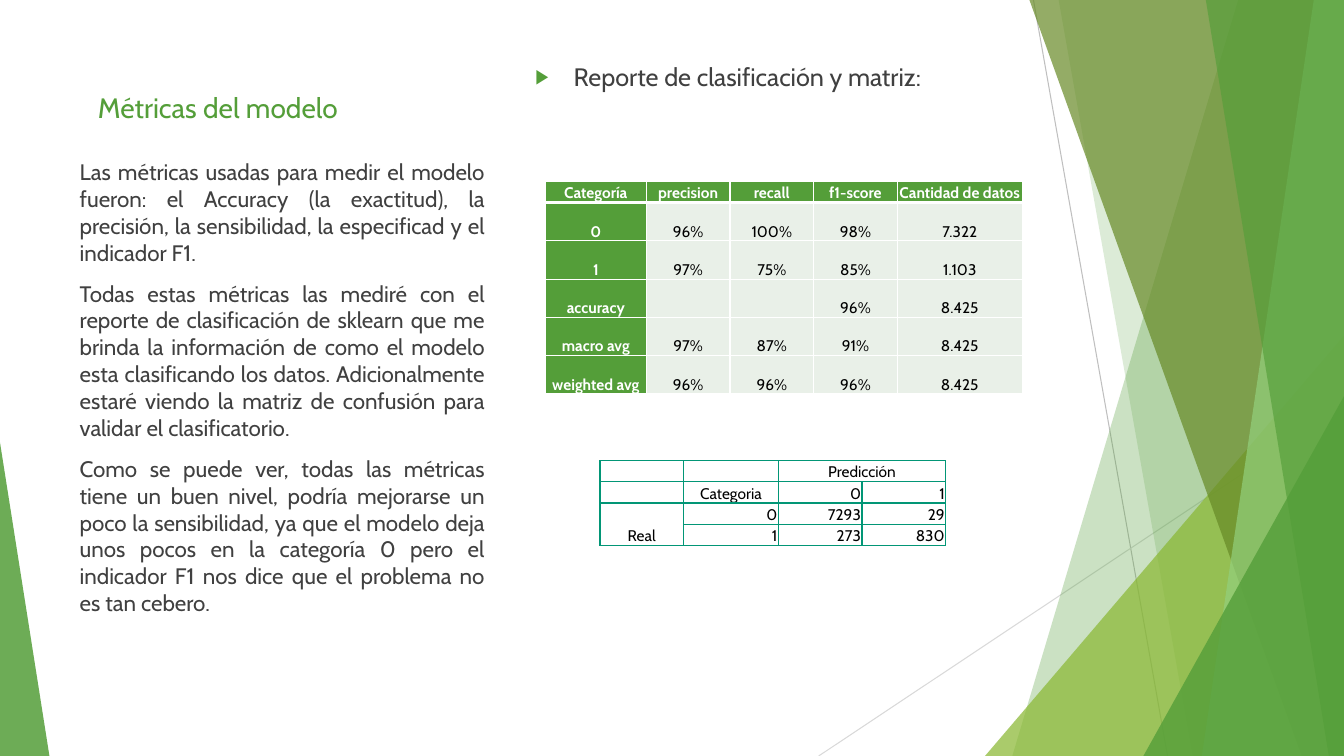
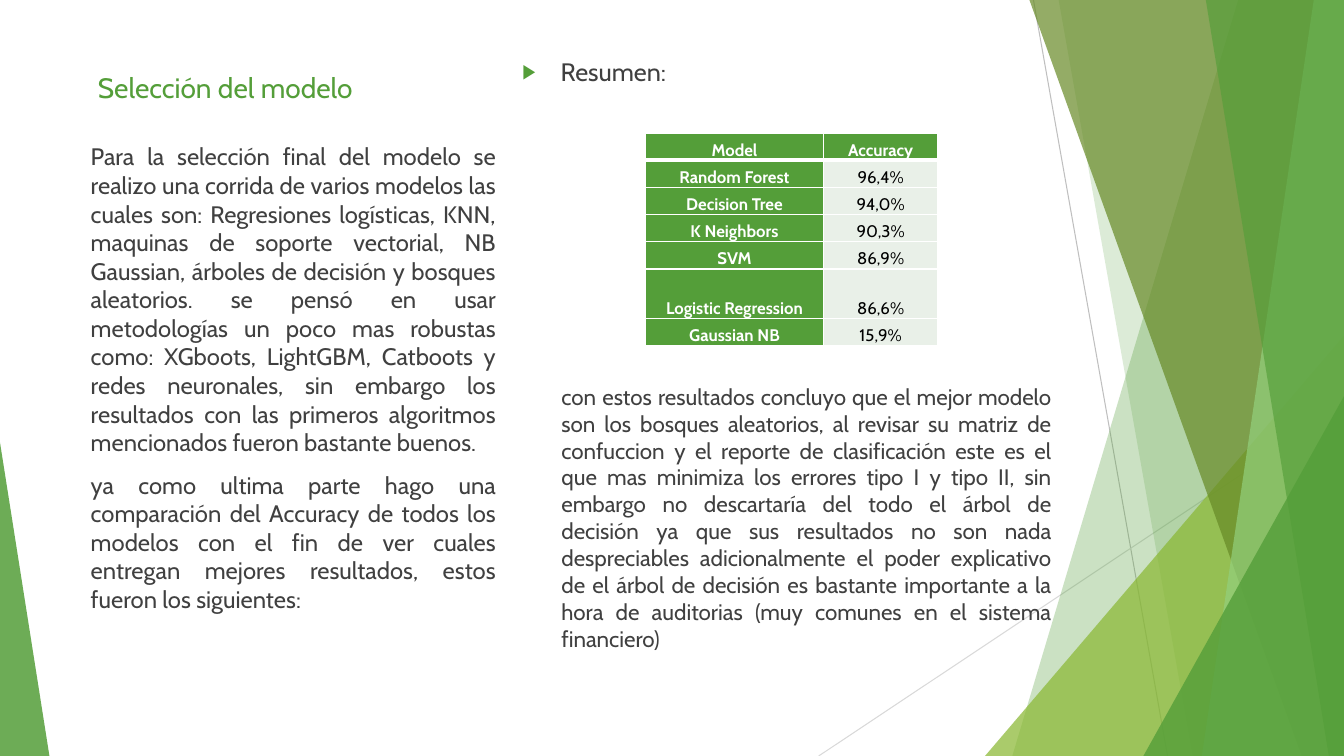
from dataclasses import dataclass

from lxml.etree import SubElement
from pptx import Presentation
from pptx.dml.color import RGBColor
from pptx.enum.shapes import MSO_CONNECTOR, MSO_SHAPE
from pptx.enum.text import MSO_ANCHOR, MSO_AUTO_SIZE, PP_ALIGN
from pptx.oxml.ns import qn
from pptx.util import Pt

PX = 9144  # 100 px to the inch
WIDTH, HEIGHT = 1333, 750


@dataclass(frozen=True)
class Theme:
    font: str = "Cabin"
    green: str = "549E39"
    lime: str = "8AB833"
    olive: str = "678A26"
    mint: str = "93D07D"
    teal: str = "029676"
    pale: str = "E9F0E8"
    ink: str = "404040"
    black: str = "000000"
    white: str = "FFFFFF"
    line_dark: str = "BFBFBF"
    line_light: str = "D9D9D9"
    title_size: int = 20
    lead_size: int = 18
    summary_size: int = 17
    text_size: int = 16
    model_size: int = 12
    metric_size: int = 11


theme = Theme()


def style_paragraph(paragraph, size, color, align=PP_ALIGN.LEFT, bold=False, before=0):
    paragraph.alignment = align
    paragraph.space_before = Pt(before)
    for run in paragraph.runs:
        run.font.name = theme.font
        run.font.size = Pt(size)
        run.font.bold = bold
        run.font.color.rgb = RGBColor.from_string(color)
    if not paragraph.runs:
        SubElement(paragraph._p, qn("a:endParaRPr"), sz=str(size * 100))


def add_grid(slide, left, top, widths, heights, rows, size, border, headed):
    frame = slide.shapes.add_table(len(rows), len(widths), left * PX, top * PX,
                                   sum(widths) * PX, sum(heights) * PX)
    table = frame.table
    table.first_row = table.horz_banding = False
    for column, width in zip(table.columns, widths):
        column.width = width * PX
    for row, height in zip(table.rows, heights):
        row.height = height * PX
    for r, texts in enumerate(rows):
        for c, text in enumerate(texts):
            cell = table.cell(r, c)
            cell.margin_left = cell.margin_right = cell.margin_top = PX
            cell.margin_bottom = 0
            cell.vertical_anchor = MSO_ANCHOR.BOTTOM
            label = headed and (r == 0 or c == 0)
            if headed:
                cell.fill.solid()
                cell.fill.fore_color.rgb = RGBColor.from_string(theme.green if label else theme.pale)
            else:
                cell.fill.background()
            cell.text_frame.text = text
            align = PP_ALIGN.RIGHT if text.isdigit() and not headed else PP_ALIGN.CENTER
            style_paragraph(cell.text_frame.paragraphs[0], size,
                            theme.white if label else theme.black, align, label)
            # Borders, heavier under the header row; they stand before the fill
            properties = cell._tc.get_or_add_tcPr()
            heavy = {(0, "lnB"), (1, "lnT")} if headed else set()
            for position, side in enumerate(("lnL", "lnR", "lnT", "lnB")):
                points = 3 if (r, side) in heavy else 1
                line = SubElement(properties, qn(f"a:{side}"), w=str(Pt(points)))
                SubElement(SubElement(line, qn("a:solidFill")), qn("a:srgbClr"), val=border)
                properties.insert(position, line)
    return table


# Presentation and the layout with a title, a lead and a text column
presentation = Presentation()
presentation.slide_width, presentation.slide_height = WIDTH * PX, HEIGHT * PX
layout = presentation.slide_layouts[7]
for footer in list(layout.placeholders)[3:]:
    footer.element.getparent().remove(footer.element)
metrics = presentation.slides.add_slide(layout)
selection = presentation.slides.add_slide(layout)

# Shared decoration: two fine lines, then translucent facets
decoration = []
for x1, y1, x2, y2, color in ((1025, 0, 1158, HEIGHT, theme.line_dark),
                              (WIDTH, 403, 812, HEIGHT, theme.line_light)):
    ray = metrics.shapes.add_connector(MSO_CONNECTOR.STRAIGHT, x1 * PX, y1 * PX, x2 * PX, y2 * PX)
    ray.line.color.rgb = RGBColor.from_string(color)
    ray.line.width = Pt(0.75)
    SubElement(ray.element.spPr, qn("a:effectLst"))
    decoration.append(ray)

# Bands run to the right edge and give their left x at top and bottom;
# triangles give left, top, width and apex, and stand on the bottom edge
facets = (
    ("band", (1228, 1004), theme.green, 30),
    ("band", (1050, 1183), theme.green, 20),
    ("triangle", (977, 333, 356, 1), theme.lime, 72),
    ("band", (1021, 1291), theme.olive, 70),
    ("band", (1303, 1192), theme.mint, 70),
    ("band", (1196, 1318), theme.green, 65),
    ("triangle", (1134, 393, 199, 1), theme.green, 80),
    ("triangle", (0, 439, 49, 0), theme.green, 85),
)
for kind, geometry, color, opacity in facets:
    if kind == "band":
        upper, lower = geometry
        outline = metrics.shapes.build_freeform(upper, 0, scale=PX)
        outline.add_line_segments([(WIDTH, 0), (WIDTH, HEIGHT), (lower, HEIGHT)], close=True)
        facet = outline.convert_to_shape()
    else:
        left, top, width, apex = geometry
        facet = metrics.shapes.add_shape(MSO_SHAPE.ISOSCELES_TRIANGLE, left * PX, top * PX,
                                         width * PX, (HEIGHT - top) * PX)
        facet.adjustments[0] = apex
    facet.shadow.inherit = False
    facet.line.fill.background()
    facet.fill.solid()
    facet.fill.fore_color.rgb = RGBColor.from_string(color)
    tint = facet.element.spPr.find(qn("a:solidFill")).find(qn("a:srgbClr"))
    SubElement(tint, qn("a:alpha"), val=str(opacity * 1000))
    decoration.append(facet)
for part in decoration:
    layout.shapes.element.append(part.element)

# Titles, leads and text columns
metrics_text = (
    "Las métricas usadas para medir el modelo fueron: el Accuracy (la exactitud), la precisión, "
    "la sensibilidad, la especificad y el indicador F1.",
    "Todas estas métricas las mediré con el reporte de clasificación de sklearn que me brinda la "
    "información de como el modelo esta clasificando los datos. Adicionalmente estaré viendo la "
    "matriz de confusión para validar el clasificatorio.",
    "Como se puede ver, todas las métricas tiene un buen nivel, podría mejorarse un poco la "
    "sensibilidad, ya que el modelo deja unos pocos en la categoría 0 pero el indicador F1 nos "
    "dice que el problema no es tan cebero.",
)
selection_text = (
    "Para la selección final del modelo se realizo una corrida de varios modelos las cuales son: "
    "Regresiones logísticas, KNN, maquinas de soporte vectorial, NB Gaussian, árboles de decisión "
    "y bosques aleatorios. se pensó en usar metodologías un poco mas robustas como: XGboots, "
    "LightGBM, Catboots y redes neuronales, sin embargo los resultados con las primeros algoritmos "
    "mencionados fueron bastante buenos.",
    "ya como ultima parte hago una comparación del Accuracy de todos los modelos con el fin de ver "
    "cuales entregan mejores resultados, estos fueron los siguientes:",
)
pages = (
    (metrics, "Métricas del modelo", (87, 56, 422, 72),
     "Reporte de clasificación y matriz:", (521, 56, 494, 604),
     metrics_text, (69, 152, 422, 509), theme.text_size),
    (selection, "Selección del modelo", (87, 58, 422, 50),
     "Resumen:", (508, 51, 494, 50),
     selection_text, (80, 136, 422, 498), theme.summary_size),
)
for slide, title, title_box, lead, lead_box, column, column_box, column_size in pages:
    heading, opening, body = slide.shapes.title, slide.placeholders[1], slide.placeholders[2]
    for holder, box, text in ((heading, title_box, title), (opening, lead_box, lead),
                              (body, column_box, "\n".join(column))):
        holder.left, holder.top, holder.width, holder.height = (length * PX for length in box)
        holder.text_frame.text = text
        holder.text_frame.auto_size = MSO_AUTO_SIZE.NONE
        holder.text_frame.vertical_anchor = MSO_ANCHOR.TOP
    heading.text_frame.vertical_anchor = MSO_ANCHOR.BOTTOM
    style_paragraph(heading.text_frame.paragraphs[0], theme.title_size, theme.green)
    for paragraph in body.text_frame.paragraphs:
        style_paragraph(paragraph, column_size, theme.ink, PP_ALIGN.JUSTIFY, before=10)

    # Arrow bullet of the lead
    opening_line = opening.text_frame.paragraphs[0]
    style_paragraph(opening_line, theme.lead_size, theme.ink, before=10)
    properties = opening_line._p.get_or_add_pPr()
    properties.set("marL", str(38 * PX))
    properties.set("indent", str(-38 * PX))
    SubElement(SubElement(properties, qn("a:buClr")), qn("a:srgbClr"), val=theme.green)
    SubElement(properties, qn("a:buSzPct"), val="80000")
    SubElement(properties, qn("a:buChar"), char="▶")

# Classification report
report = (
    ("Categoría", "precision", "recall", "f1-score", "Cantidad de datos"),
    ("0", "96%", "100%", "98%", "7.322"),
    ("1", "97%", "75%", "85%", "1.103"),
    ("accuracy", "", "", "96%", "8.425"),
    ("macro avg", "97%", "87%", "91%", "8.425"),
    ("weighted avg", "96%", "96%", "96%", "8.425"),
)
add_grid(metrics, 541, 180, [100, 83, 83, 83, 124], [21] + [38] * 5, report,
         theme.metric_size, theme.white, headed=True)

# Confusion matrix
confusion = (
    ("", "", "Predicción", ""),
    ("", "Categoria", "0", "1"),
    ("Real", "0", "7293", "29"),
    ("", "1", "273", "830"),
)
matrix = add_grid(metrics, 595, 457, [83, 94, 83, 83], [21] * 4, confusion,
                  theme.metric_size, theme.teal, headed=False)
matrix.cell(0, 2).merge(matrix.cell(0, 3))
matrix.cell(2, 0).merge(matrix.cell(3, 0))

# Model comparison
models = (
    ("Model", "Accuracy"),
    ("Random Forest", "96,4%"),
    ("Decision Tree", "94,0%"),
    ("K Neighbors", "90,3%"),
    ("SVM", "86,9%"),
    ("Logistic Regression", "86,6%"),
    ("Gaussian NB", "15,9%"),
)
add_grid(selection, 640, 132, [177, 113], [27] * 5 + [49, 27], models,
         theme.model_size, theme.white, headed=True)

# Conclusion
conclusion = selection.shapes.add_textbox(547 * PX, 375 * PX, 506 * PX, 339 * PX).text_frame
conclusion.word_wrap = True
conclusion.text = (
    "con estos resultados concluyo que el mejor modelo son los bosques aleatorios, al revisar su "
    "matriz de confuccion y el reporte de clasificación este es el que mas minimiza los errores "
    "tipo I y tipo II, sin embargo no descartaría del todo el árbol de decisión ya que sus "
    "resultados no son nada despreciables adicionalmente el poder explicativo de el árbol de "
    "decisión es bastante importante a la hora de auditorias (muy comunes en el sistema financiero)"
)
style_paragraph(conclusion.paragraphs[0], theme.text_size, theme.ink, PP_ALIGN.JUSTIFY, before=10)

presentation.save("out.pptx")
